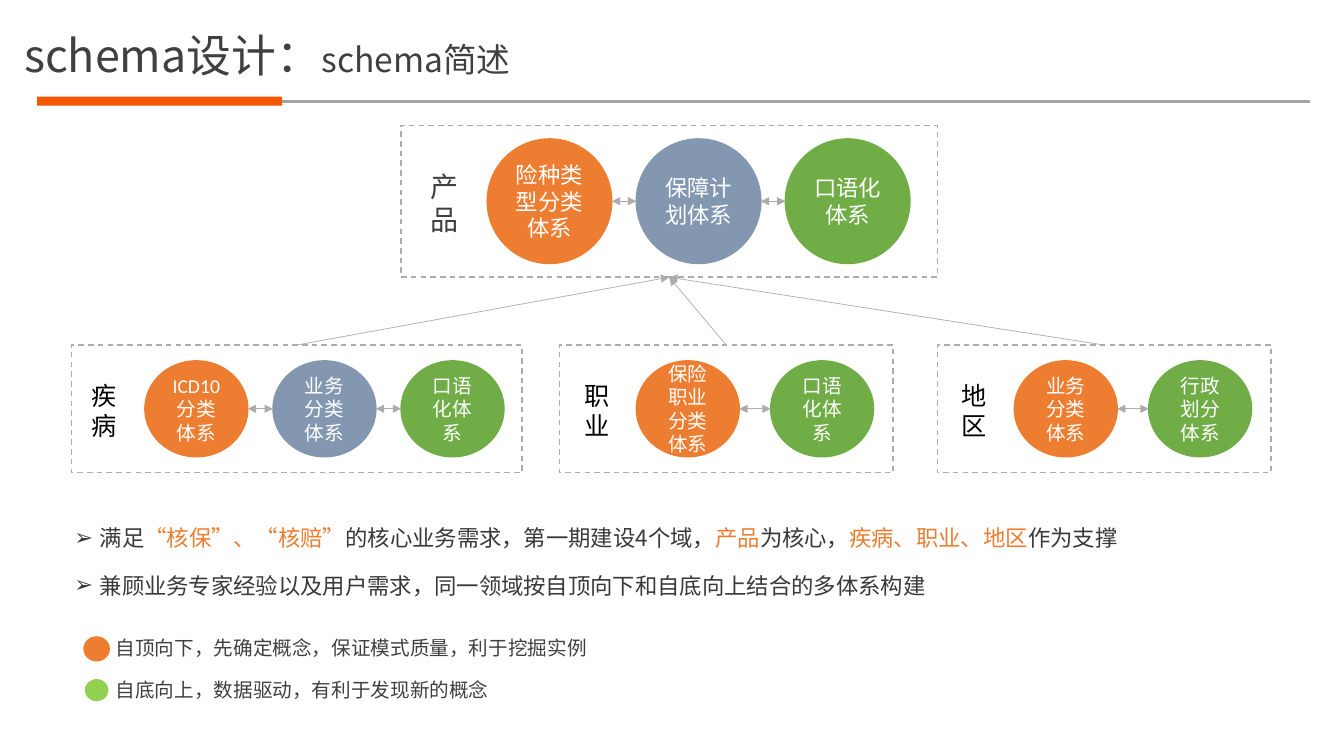
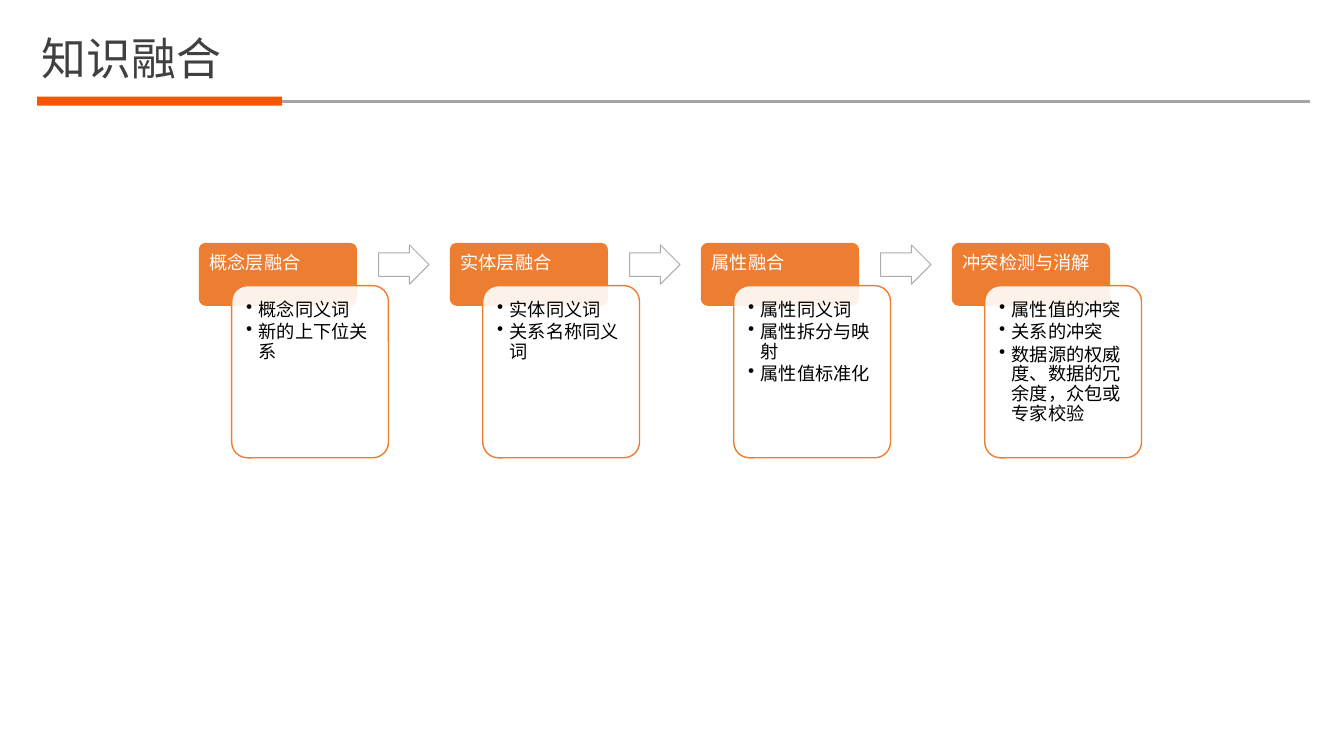
from lxml.etree import SubElement
from pptx import Presentation
from pptx.dml.color import RGBColor
from pptx.enum.dml import MSO_LINE as Dash
from pptx.enum.shapes import MSO_CONNECTOR as Conn, MSO_SHAPE as Kind
from pptx.enum.text import MSO_ANCHOR as Anchor, MSO_AUTO_SIZE as Auto, PP_ALIGN as Align
from pptx.oxml.ns import qn
from pptx.util import Pt

HEX = {
    "white": "FFFFFF", "black": "000000", "text": "404040", "body": "3B3838",
    "orange": "ED7D31", "blue": "8497B0", "green": "70AD47", "lime": "92D050",
    "accent": "F35704", "rule": "A4A4A4", "gray": "AFABAB",
}
HAN = "Noto Sans CJK SC"
LATIN = "Calibri"

TITLE = [("schema设计：", 32), ("schema简述", 24)]
MERGE = [("知识融合", 32)]

CORE = {
    "name": "产品", "box": (286.5, 89.5, 383, 108.5), "label": (14, 52, 20, "Roboto", "text"),
    "disc": (89, 89, 16), "start": 61.5, "pitch": 106.5,
    "parts": [("险种类型分类体系", "orange"), ("保障计划体系", "blue"), ("口语化体系", "green")],
}
SMALL = {"disc": (73.5, 68.5, 14)}
DOMAINS = [
    {**SMALL, "name": "疾病", "box": (51, 246.5, 322, 91), "label": (7.5, 43, 18, LATIN, "black"),
     "start": 52.5, "pitch": 91.5,
     "parts": [("ICD10分类体系", "orange"), ("业务分类体系", "blue"), ("口语化体系", "green")]},
    {**SMALL, "name": "职业", "box": (399.5, 246.5, 238.5, 91), "label": (11, 43, 18, LATIN, "black"),
     "start": 55, "pitch": 96,
     "parts": [("保险职业分类体系", "orange"), ("口语化体系", "green")]},
    {**SMALL, "name": "地区", "box": (669.5, 246.5, 238.5, 91), "label": (10, 43, 18, LATIN, "black"),
     "start": 55, "pitch": 96,
     "parts": [("业务分类体系", "orange"), ("行政划分体系", "green")]},
]
POINTS = [
    [("满足", "body"), ("“核保”、“核赔”", "orange"), ("的核心业务需求，第一期建设4个域，", "body"),
     ("产品", "orange"), ("为核心，", "body"), ("疾病、职业、地区", "orange"), ("作为支撑", "body")],
    [("兼顾业务专家经验以及用户需求，同一领域按自顶向下和自底向上结合的多体系构建", "body")],
]
LEGEND = [
    ("自顶向下，先确定概念，保证模式质量，利于挖掘实例", "orange", "orange"),
    ("自底向上，数据驱动，有利于发现新的概念", "lime", "white"),
]
STEPS = [
    ("概念层融合", ["概念同义词", "新的上下位关系"]),
    ("实体层融合", ["实体同义词", "关系名称同义词"]),
    ("属性融合", ["属性同义词", "属性拆分与映射", "属性值标准化"]),
    ("冲突检测与消解", ["属性值的冲突", "关系的冲突", "数据源的权威度、数据的冗余度，众包或专家校验"]),
]


def rgb(name):
    return RGBColor.from_string(HEX[name])


def place(shape, x, y, w, h):
    shape.left, shape.top, shape.width, shape.height = Pt(x), Pt(y), Pt(w), Pt(h)


def write(para, text, size, color, font=LATIN):
    run = para.add_run()
    run.text = text
    run.font.size = Pt(size)
    run.font.color.rgb = rgb(color)
    run.font.name = font
    SubElement(run.font._element, qn("a:ea")).set("typeface", HAN)


def bullet(para, mark, left, hang):
    props = para._p.get_or_add_pPr()
    props.set("marL", str(Pt(left)))
    props.set("indent", str(-Pt(hang)))
    SubElement(props, qn("a:buChar")).set("char", mark)


def shape(slide, kind, area, fill, line=None, width=1):
    item = slide.shapes.add_shape(kind, *map(Pt, area))
    item.shadow.inherit = False
    item.fill.solid()
    item.fill.fore_color.rgb = rgb(fill)
    if line:
        item.line.color.rgb = rgb(line)
        item.line.width = Pt(width)
    else:
        item.line.fill.background()
    return item


def link(slide, start, end, color="gray", width=0.5, heads=()):
    line = slide.shapes.add_connector(Conn.STRAIGHT, *map(Pt, (*start, *end)))
    line.line.color.rgb = rgb(color)
    line.line.width = Pt(width)
    props = line._element.spPr
    for head in heads:
        SubElement(props.find(qn("a:ln")), qn("a:" + head)).set("type", "triangle")
    SubElement(props, qn("a:effectLst"))
    return line


def note(slide, area, text, size, color, font, anchor=Anchor.TOP):
    frame = slide.shapes.add_textbox(*map(Pt, area)).text_frame
    frame.word_wrap = True
    frame.vertical_anchor = anchor
    write(frame.paragraphs[0], text, size, color, font)


def start(deck, layout, runs, x, y):
    slide = deck.slides.add_slide(deck.slide_layouts[layout])
    title = slide.shapes.title
    place(title, x, y, 898, 46)
    frame = title.text_frame
    frame.auto_size = Auto.NONE
    frame.vertical_anchor = Anchor.TOP
    para = frame.paragraphs[0]
    para.alignment = Align.LEFT
    for text, size in runs:
        write(para, text, size, "text", HAN)
    shape(slide, Kind.RECTANGLE, (26.5, 69, 175, 6.5), "accent")
    link(slide, (201.5, 72.5), (936, 72.5), "rule", 1.5)
    return slide


def domain(slide, data):
    x, y, w, h = data["box"]
    box = shape(slide, Kind.RECTANGLE, data["box"], "white", "gray")
    box.line.dash_style = Dash.DASH
    dx, wide, size, font, color = data["label"]
    note(slide, (x + dx, y + 1, wide, h), data["name"], size, color, font, Anchor.MIDDLE)
    dw, dh, size = data["disc"]
    mid = y + h / 2
    for i, (text, fill) in enumerate(data["parts"]):
        left = x + data["start"] + i * data["pitch"]
        disc = shape(slide, Kind.OVAL, (left, mid - dh / 2, dw, dh), fill, fill)
        frame = disc.text_frame
        frame.vertical_anchor = Anchor.MIDDLE
        frame.paragraphs[0].alignment = Align.CENTER
        write(frame.paragraphs[0], text, size, "white")
        if i:
            link(slide, (left - data["pitch"] + dw, mid), (left, mid), heads=("headEnd", "tailEnd"))
    return box


def schema(deck):
    slide = start(deck, 1, TITLE, 10, 16)
    core = domain(slide, CORE)
    for data in DOMAINS:
        box = domain(slide, data)
        line = link(slide, (0, 0), (0, 0), heads=("tailEnd",))
        line.begin_connect(box, 0)
        line.end_connect(core, 2)

    body = slide.placeholders[1]
    place(body, 10, 361.5, 895, 70.5)
    frame = body.text_frame
    frame.auto_size = Auto.NONE
    for i, runs in enumerate(POINTS):
        para = frame.add_paragraph() if i else frame.paragraphs[0]
        para.line_spacing = 1.5
        para.space_before = Pt(5)
        bullet(para, "➢", 54, 18)
        for text, color in runs:
            write(para, text, 16, color, HAN)

    for i, (text, fill, line) in enumerate(LEGEND):
        y = 451 + 29.5 * i
        shape(slide, Kind.OVAL, (60, y + 4, 18, 17), fill, line)
        note(slide, (75.5, y, 368, 24.5), text, 14, "text", HAN)


def merge(deck):
    slide = start(deck, 5, MERGE, 22.5, 18)
    for i, (name, items) in enumerate(STEPS):
        x = 142.5 + 179.3 * i
        head = shape(slide, Kind.ROUNDED_RECTANGLE, (x, 174, 112, 44), "orange", "orange")
        card = shape(slide, Kind.ROUNDED_RECTANGLE, (x + 23, 204, 112, 123), "white", "orange")
        color = card.fill._xPr.find(qn("a:solidFill"))[0]
        SubElement(color, qn("a:alpha")).set("val", "90000")
        for item, inset in ((head, 6), (card, 7.2)):
            item.adjustments[0] = 0.1
            frame = item.text_frame
            frame.vertical_anchor = Anchor.TOP
            frame.margin_left = frame.margin_right = frame.margin_top = Pt(inset)
        para = head.text_frame.paragraphs[0]
        para.alignment = Align.LEFT
        para.line_spacing = 0.9
        write(para, name, 13, "white")
        frame = card.text_frame
        for j, text in enumerate(items):
            para = frame.add_paragraph() if j else frame.paragraphs[0]
            para.alignment = Align.LEFT
            para.line_spacing = 0.9
            para.space_after = Pt(2)
            bullet(para, "•", 9, 9)
            write(para, text, 13, "black")
        if i < len(STEPS) - 1:
            arrow = shape(slide, Kind.RIGHT_ARROW, (x + 128, 175, 36, 28), "white", "gray", 0.75)
            arrow.adjustments[0] = 0.6
            arrow.adjustments[1] = 0.5


def main():
    deck = Presentation()
    deck.slide_width, deck.slide_height = Pt(960), Pt(540)
    schema(deck)
    merge(deck)
    deck.save("out.pptx")


if __name__ == "__main__":
    main()
